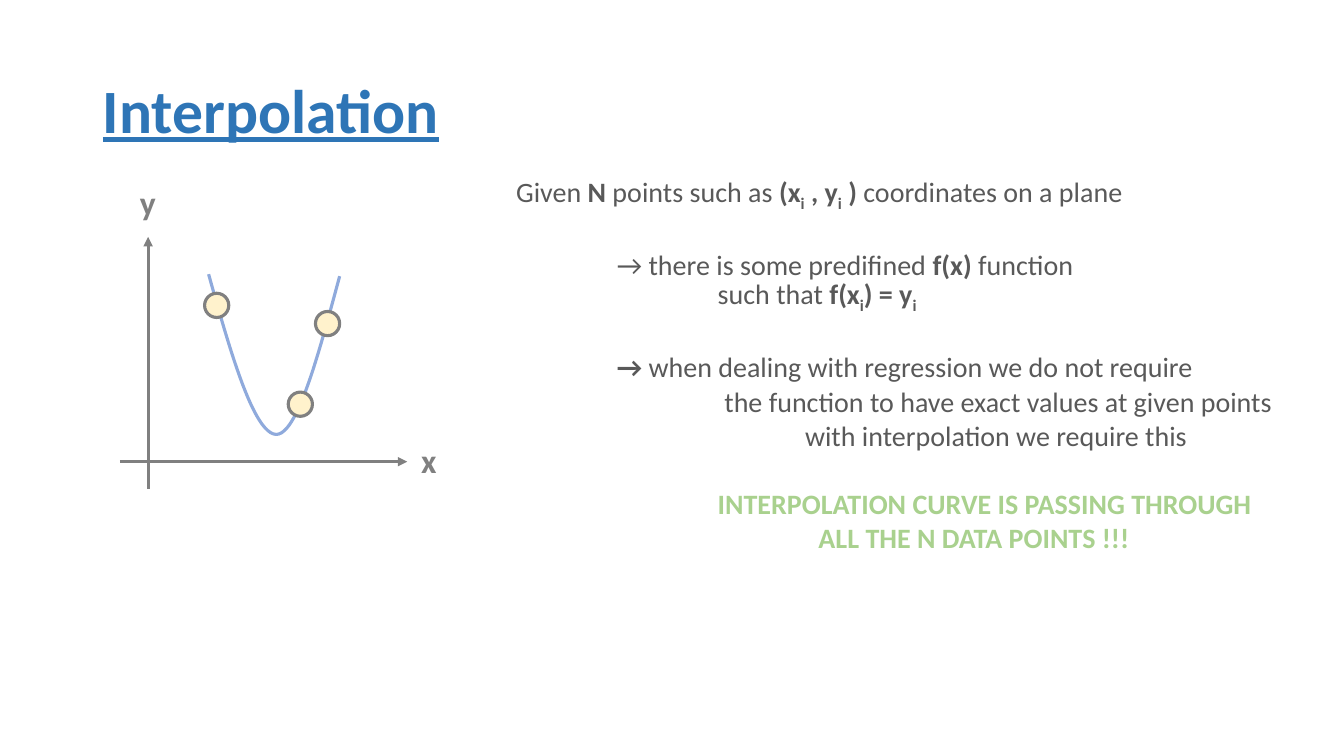
from lxml.etree import SubElement
from pptx import Presentation
from pptx.dml.color import RGBColor
from pptx.enum.shapes import MSO_CONNECTOR as Connector, MSO_SHAPE as Preset
from pptx.enum.text import MSO_ANCHOR as Anchor, MSO_AUTO_SIZE as AutoSize, PP_ALIGN as Align
from pptx.oxml.ns import qn
from pptx.util import Emu, Inches, Pt

COLUMNS, ROWS = 160, 90
CELL = Inches(1) / 12
GRAY, TEXT, BLUE = "808080", "595959", "2E75B6"
CURVE, POINT, GREEN = "8FAADC", "FFF2CC", "A9D18E"
LINE_HEIGHT = 24.4
POINT_SIZE = 2.88

CURVE_PARTS = [
    [(24.84, 32.64), (27.48, 42.12), (30.24, 51.6), (32.88, 51.72)],
    [(32.88, 51.72), (35.4, 51.72), (37.92, 42.24), (40.44, 32.88)],
]
POINT_CENTERS = [(25.8, 36.36), (35.76, 48.12), (39, 38.52)]

STATEMENTS = [
    (0, False, TEXT, [("Given ", ""), ("N", "bold"), (" points such as ", ""),
                      ("(x", "bold"), ("i", "sub"), (" , y", "bold"),
                      ("i", "sub"), (" )", "bold"),
                      (" coordinates on a plane", "")]),
    (12, True, TEXT, [("→ there is some predifined ", ""), ("f(x)", "bold"),
                      (" function", "")]),
    (24, False, TEXT, [("such that ", ""), ("f(x", "bold"), ("i", "sub"),
                       (") = y", "bold"), ("i", "sub")]),
    (12, True, TEXT, [("→ ", "bold"),
                      ("when dealing with regression we do not require", "")]),
    (24.8, False, TEXT, [("the function to have exact values at given points", "")]),
    (34.4, False, TEXT, [("with interpolation we require this", "")]),
    (24, True, GREEN, [("INTERPOLATION CURVE IS PASSING THROUGH", "bold")]),
    (36, False, GREEN, [("ALL THE N DATA POINTS !!!", "bold")]),
]


def grid(cells):
    return Emu(round(cells * CELL))


def color(code):
    return RGBColor.from_string(code)


def place(shape, left, top, width, height):
    shape.left, shape.top = grid(left), grid(top)
    shape.width, shape.height = grid(width), grid(height)


def outline(shape, code):
    shape.line.color.rgb = color(code)
    shape.line.width = Pt(2.25)


def add_run(paragraph, words, size, code, bold=True):
    run = paragraph.add_run()
    run.text = words
    run.font.name = "Calibri"
    run.font.size = Pt(size)
    run.font.bold = bold
    run.font.color.rgb = color(code)
    return run


def write_title(title):
    place(title, 11.04, 4.8, 138, 17.4)
    frame = title.text_frame
    frame.auto_size = AutoSize.NONE
    frame.vertical_anchor = Anchor.MIDDLE
    heading = frame.paragraphs[0]
    heading.alignment = Align.LEFT
    heading.line_spacing = 0.9
    add_run(heading, "Interpolation", 44, BLUE).font.underline = True


def write_statements(body):
    place(body, 60.24, 20.64, 92.52, 45.6)
    frame = body.text_frame
    frame.auto_size = AutoSize.NONE
    frame.vertical_anchor = Anchor.TOP
    frame.margin_right = 0
    for index, (indent, gap, code, pieces) in enumerate(STATEMENTS):
        statement = frame.add_paragraph() if index else frame.paragraphs[0]
        statement.alignment = Align.LEFT
        statement.line_spacing = Pt(LINE_HEIGHT)
        statement.space_before = Pt(LINE_HEIGHT if gap else 0)
        properties = statement._p.get_or_add_pPr()
        properties.set("marL", str(grid(indent)))
        properties.set("indent", "0")
        SubElement(properties, qn("a:buNone"))
        for words, style in pieces:
            run = add_run(statement, words, 20, code, style != "")
            if style == "sub":
                run._r.get_or_add_rPr().set("baseline", "-25000")


def add_axis(slide, start, end):
    axis = slide.shapes.add_connector(
        Connector.STRAIGHT, *map(grid, start), *map(grid, end))
    outline(axis, GRAY)
    SubElement(axis.line._get_or_add_ln(), qn("a:tailEnd"), type="triangle")
    SubElement(axis._element.spPr, qn("a:effectLst"))


def add_axis_label(slide, letter, left, top):
    label = slide.shapes.add_textbox(grid(left), grid(top), grid(4.32), grid(6))
    label.text_frame.word_wrap = False
    add_run(label.text_frame.paragraphs[0], letter, 24, GRAY)


def bezier(part, t):
    weights = ((1 - t) ** 3, 3 * t * (1 - t) ** 2, 3 * t ** 2 * (1 - t), t ** 3)
    return tuple(grid(sum(w * v for w, v in zip(weights, values)))
                 for values in zip(*part))


def add_curve(slide, steps=24):
    vertices = [bezier(part, step / steps)
                for part in CURVE_PARTS for step in range(1, steps + 1)]
    builder = slide.shapes.build_freeform(*bezier(CURVE_PARTS[0], 0))
    builder.add_line_segments(vertices, close=False)
    curve = builder.convert_to_shape()
    curve.shadow.inherit = False
    curve.fill.background()
    outline(curve, CURVE)


def add_point(slide, x, y):
    corner = grid(x - POINT_SIZE / 2), grid(y - POINT_SIZE / 2)
    point = slide.shapes.add_shape(
        Preset.OVAL, *corner, grid(POINT_SIZE), grid(POINT_SIZE))
    point.shadow.inherit = False
    point.fill.solid()
    point.fill.fore_color.rgb = color(POINT)
    outline(point, GRAY)


def main():
    deck = Presentation()
    deck.slide_width, deck.slide_height = grid(COLUMNS), grid(ROWS)
    slide = deck.slides.add_slide(deck.slide_layouts[1])
    write_title(slide.shapes.title)
    write_statements(slide.placeholders[1])
    add_axis(slide, (17.64, 58.2), (17.64, 28.2))
    add_axis(slide, (14.28, 54.96), (48.48, 54.96))
    add_axis_label(slide, "x", 48.96, 51.84)
    add_axis_label(slide, "y", 15.48, 21.12)
    add_curve(slide)
    for center in POINT_CENTERS:
        add_point(slide, *center)
    deck.save("out.pptx")


if __name__ == "__main__":
    main()
